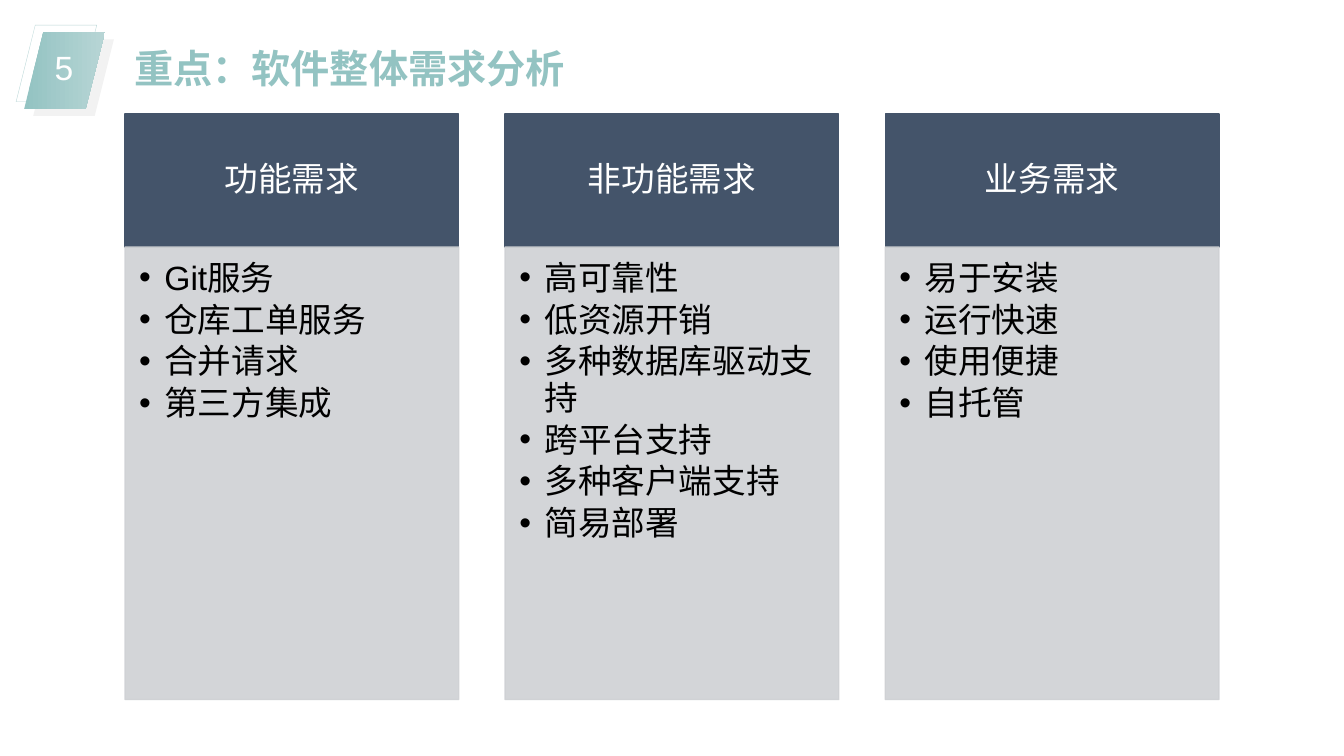
from dataclasses import dataclass

from lxml import etree
from pptx import Presentation
from pptx.dml.color import RGBColor
from pptx.enum.shapes import MSO_SHAPE
from pptx.enum.text import MSO_ANCHOR, MSO_AUTO_SIZE, PP_ALIGN
from pptx.oxml.ns import qn
from pptx.util import Inches, Pt

RECTANGLE, PARALLELOGRAM = MSO_SHAPE.RECTANGLE, MSO_SHAPE.PARALLELOGRAM
TOP, MIDDLE = MSO_ANCHOR.TOP, MSO_ANCHOR.MIDDLE
LEFT, CENTER = PP_ALIGN.LEFT, PP_ALIGN.CENTER
NO_AUTOFIT = MSO_AUTO_SIZE.NONE
TITLE_ONLY = 5


@dataclass(frozen=True)
class Theme:
    """Colours and type sizes of the deck."""
    font: str = "Arial"
    title_size: int = 28
    text_size: int = 24
    accent: str = "93C3C2"
    accent_light: str = "B7D5D5"
    outline: str = "BAD7D7"
    shade: str = "F2F2F2"
    header: str = "44546A"
    panel: str = "CFD1D4"
    white: str = "FFFFFF"
    black: str = "000000"


THEME = Theme()
SLIDE_SIZE = (13.33, 7.5)
BADGE_BOX = (0.16, 0.25, 0.97, 0.9)
TITLE_BOX = (1.23, 0.39, 5.43, 0.57)
COLUMNS_BOX = (1.24, 1.13, 10.85, 5.81)
COLUMN_GAP = 0.46
HEADER_HEIGHT = 1.32
HEADER_INSETS = (0.19, 0.11, 0.19, 0.11)
PANEL_INSETS = (0.14, 0.14, 0.19, 0.21)
REQUIREMENTS = {
    "功能需求": ["Git服务", "仓库工单服务", "合并请求", "第三方集成"],
    "非功能需求": ["高可靠性", "低资源开销", "多种数据库驱动支持",
              "跨平台支持", "多种客户端支持", "简易部署"],
    "业务需求": ["易于安装", "运行快速", "使用便捷", "自托管"],
}


def color(value):
    """Turn a hex value into a colour."""
    return RGBColor.from_string(value)


def inches(box):
    """Turn a box of numbers into lengths."""
    return [Inches(value) for value in box]


def add_plain_shape(page, kind, box, fill=None, line=None, width=1):
    """Add a shape without shadow, with optional fill and line."""
    shape = page.shapes.add_shape(kind, *inches(box))
    shape.shadow.inherit = False
    if fill:
        shape.fill.solid()
        shape.fill.fore_color.rgb = color(fill)
    else:
        shape.fill.background()
    if line:
        shape.line.color.rgb = color(line)
        shape.line.width = Pt(width)
    else:
        shape.line.fill.background()
    return shape


def set_opacity(shape, percent):
    """Make the fill and line of a shape partly transparent."""
    for value in shape.element.spPr.iter(qn("a:srgbClr")):
        etree.SubElement(value, qn("a:alpha")).set("val", str(percent * 1000))


def set_text(shape, text, size, ink, align, anchor, bold=False):
    """Fill a shape with text in one style."""
    frame = shape.text_frame
    frame.text = text
    frame.word_wrap = True
    frame.auto_size = NO_AUTOFIT
    frame.vertical_anchor = anchor
    for para in frame.paragraphs:
        para.alignment = align
        for span in para.runs:
            span.font.name = THEME.font
            span.font.size = Pt(size)
            span.font.bold = bold
            span.font.color.rgb = color(ink)
    return frame


def set_insets(frame, insets):
    """Set the left, top, right and bottom margins of a text frame."""
    (frame.margin_left, frame.margin_top,
     frame.margin_right, frame.margin_bottom) = inches(insets)


def add_bullet(para):
    """Give a paragraph a hanging bullet."""
    para.level = 1
    properties = para._p.get_or_add_pPr()
    properties.set("marL", str(Inches(0.25)))
    properties.set("indent", str(-Inches(0.25)))
    etree.SubElement(properties, qn("a:buFont")).set("typeface", THEME.font)
    etree.SubElement(properties, qn("a:buChar")).set("char", "•")


def add_badge(page, box, number):
    """Draw the layered page number badge."""
    left, top, width, height = box
    tile = (0.8, 0.76)
    add_plain_shape(page, PARALLELOGRAM, (left, top, *tile),
                    line=THEME.outline, width=0.25)
    add_plain_shape(page, PARALLELOGRAM,
                    (left + width - tile[0], top + height - tile[1], *tile),
                    fill=THEME.shade)
    front = add_plain_shape(page, PARALLELOGRAM,
                            (left + 0.08, top + 0.07, *tile))
    front.fill.gradient()
    front.fill.gradient_angle = 0
    for stop, value in zip(front.fill.gradient_stops,
                           (THEME.accent, THEME.accent_light)):
        stop.color.rgb = color(value)
    label = page.shapes.add_textbox(
        *inches((left + 0.17, top + 0.11, 0.61, 0.54)))
    frame = set_text(label, number, THEME.text_size, THEME.white, CENTER, MIDDLE)
    frame.word_wrap = False
    frame.paragraphs[0].line_spacing = 1.2


def place_title(page, box, text):
    """Move and format the title placeholder."""
    title = page.shapes.title
    title.left, title.top, title.width, title.height = inches(box)
    set_text(title, text, THEME.title_size, THEME.accent, LEFT, TOP, bold=True)


def add_column(page, box, heading, items):
    """Draw one requirement column: a header above a bulleted panel."""
    left, top, width, height = box
    header = add_plain_shape(page, RECTANGLE, (left, top, width, HEADER_HEIGHT),
                             THEME.header, THEME.header)
    frame = set_text(header, heading, THEME.text_size, THEME.white, CENTER, MIDDLE)
    set_insets(frame, HEADER_INSETS)
    frame.paragraphs[0].line_spacing = 0.9

    panel = add_plain_shape(
        page, RECTANGLE,
        (left, top + HEADER_HEIGHT, width, height - HEADER_HEIGHT),
        THEME.panel, THEME.panel)
    set_opacity(panel, 90)
    frame = set_text(panel, "\n".join(items), THEME.text_size, THEME.black,
                     LEFT, TOP)
    set_insets(frame, PANEL_INSETS)
    for para in frame.paragraphs:
        para.line_spacing = 0.9
        para.space_after = Pt(4)
        add_bullet(para)


def add_columns(page, box, requirements):
    """Spread the requirement columns evenly over a box."""
    left, top, width, height = box
    count = len(requirements)
    column_width = (width - COLUMN_GAP * (count - 1)) / count
    for index, (heading, items) in enumerate(requirements.items()):
        column_left = left + index * (column_width + COLUMN_GAP)
        add_column(page, (column_left, top, column_width, height), heading, items)


def main():
    """Build and save the deck."""
    deck = Presentation()
    deck.slide_width, deck.slide_height = inches(SLIDE_SIZE)
    page = deck.slides.add_slide(deck.slide_layouts[TITLE_ONLY])
    add_badge(page, BADGE_BOX, "5")
    place_title(page, TITLE_BOX, "重点：软件整体需求分析")
    add_columns(page, COLUMNS_BOX, REQUIREMENTS)
    deck.save("out.pptx")


if __name__ == "__main__":
    main()
